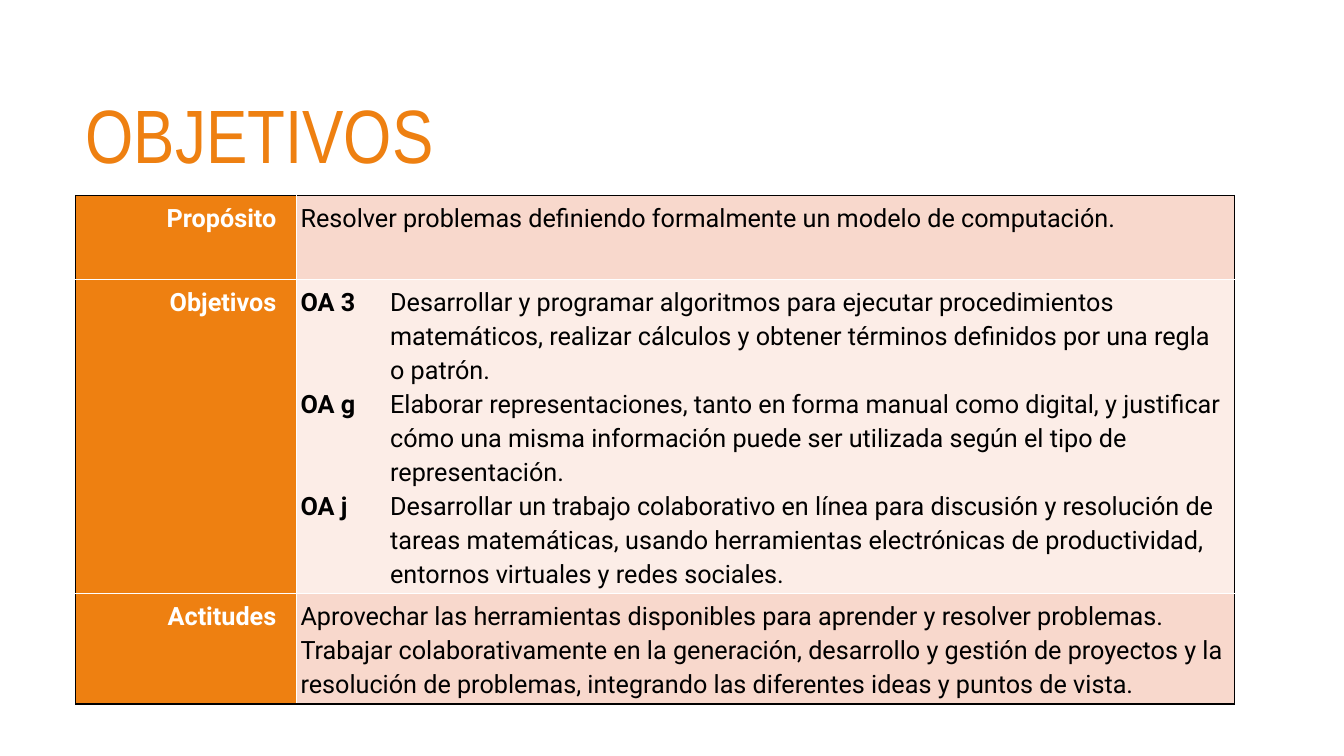
"""Build the OBJETIVOS slide with its table of purpose, objectives and attitudes."""
from lxml.etree import SubElement
from pptx import Presentation
from pptx.dml.color import RGBColor
from pptx.enum.text import MSO_ANCHOR, PP_ALIGN
from pptx.oxml.ns import qn
from pptx.util import Pt

ORANGE = RGBColor(0xEE, 0x80, 0x11)
ROSE = RGBColor(0xF8, 0xD8, 0xCC)
PALE_ROSE = RGBColor(0xFC, 0xED, 0xE7)
WHITE = RGBColor(0xFF, 0xFF, 0xFF)
BLACK = RGBColor(0x00, 0x00, 0x00)

TAB = Pt(64)
MARGIN = Pt(3)
LABEL_MARGIN = Pt(14.3)
ROW_HEIGHTS = [60, 174, 76]

ROWS = [
    ("Propósito", ROSE, [
        ("", "Resolver problemas definiendo formalmente un modelo de computación."),
    ]),
    ("Objetivos", PALE_ROSE, [
        ("OA 3", "Desarrollar y programar algoritmos para ejecutar procedimientos "
                 "matemáticos, realizar cálculos y obtener términos definidos por "
                 "una regla o patrón."),
        ("OA g", "Elaborar representaciones, tanto en forma manual como digital, y "
                 "justificar cómo una misma información puede ser utilizada según "
                 "el tipo de representación."),
        ("OA j", "Desarrollar un trabajo colaborativo en línea para discusión y "
                 "resolución de tareas matemáticas, usando herramientas electrónicas "
                 "de productividad, entornos virtuales y redes sociales."),
    ]),
    ("Actitudes", ROSE, [
        ("", "Aprovechar las herramientas disponibles para aprender y resolver "
             "problemas."),
        ("", "Trabajar colaborativamente en la generación, desarrollo y gestión de "
             "proyectos y la resolución de problemas, integrando las diferentes "
             "ideas y puntos de vista."),
    ]),
]


def format_cell(cell, fill, right_margin, outer_sides):
    """Set margins, borders and fill; outer sides are black, inner ones white."""
    cell.margin_left = cell.margin_top = cell.margin_bottom = MARGIN
    cell.margin_right = right_margin
    cell.vertical_anchor = MSO_ANCHOR.TOP
    properties = cell._tc.get_or_add_tcPr()
    for side in "LRTB":
        line = SubElement(properties, qn(f"a:ln{side}"), w=str(Pt(1)))
        solid = SubElement(line, qn("a:solidFill"))
        color = BLACK if side in outer_sides else WHITE
        SubElement(solid, qn("a:srgbClr"), val=str(color))
    cell.fill.solid()
    cell.fill.fore_color.rgb = fill


def add_span(para, text, color, bold):
    """Add one run of table text."""
    span = para.add_run()
    span.text = text
    span.font.name = "Roboto"
    span.font.size = Pt(18)
    span.font.bold = bold
    span.font.color.rgb = color


deck = Presentation()
deck.slide_width, deck.slide_height = Pt(960), Pt(540)
page = deck.slides.add_slide(deck.slide_layouts[5])

title = page.shapes.title
title.left, title.top, title.width, title.height = Pt(54), Pt(54), Pt(818.6), Pt(90.7)
title.text_frame.vertical_anchor = MSO_ANCHOR.MIDDLE
title.text_frame.word_wrap = True
para = title.text_frame.paragraphs[0]
para.alignment = PP_ALIGN.LEFT
para.line_spacing = 0.9
span = para.add_run()
span.text = "OBJETIVOS"
span.font.name = "Arial Narrow"
span.font.size = Pt(54)
span.font.color.rgb = ORANGE

frame = page.shapes.add_table(len(ROWS), 2, Pt(54), Pt(139.7), Pt(828), Pt(sum(ROW_HEIGHTS)))
table = frame.table
table.first_row = table.horz_banding = False
table.columns[0].width, table.columns[1].width = Pt(157.7), Pt(670.3)

for index, (label, fill, entries) in enumerate(ROWS):
    table.rows[index].height = Pt(ROW_HEIGHTS[index])
    edge = {0: "T", len(ROWS) - 1: "B"}.get(index, "")
    label_cell, text_cell = table.cell(index, 0), table.cell(index, 1)
    format_cell(label_cell, ORANGE, LABEL_MARGIN, "L" + edge)
    format_cell(text_cell, fill, MARGIN, "R" + edge)

    para = label_cell.text_frame.paragraphs[0]
    para.alignment = PP_ALIGN.RIGHT
    para.line_spacing = 1.15
    add_span(para, label, WHITE, True)

    for number, (code, text) in enumerate(entries):
        body = text_cell.text_frame
        para = body.add_paragraph() if number else body.paragraphs[0]
        para.line_spacing = 1.15
        if code:
            properties = para._p.get_or_add_pPr()
            properties.set("marL", str(TAB))
            properties.set("indent", str(-TAB))
            tabs = SubElement(properties, qn("a:tabLst"))
            SubElement(tabs, qn("a:tab"), pos=str(TAB), algn="l")
            add_span(para, code + "\t", BLACK, True)
        add_span(para, text, BLACK, False)

deck.save("out.pptx")
